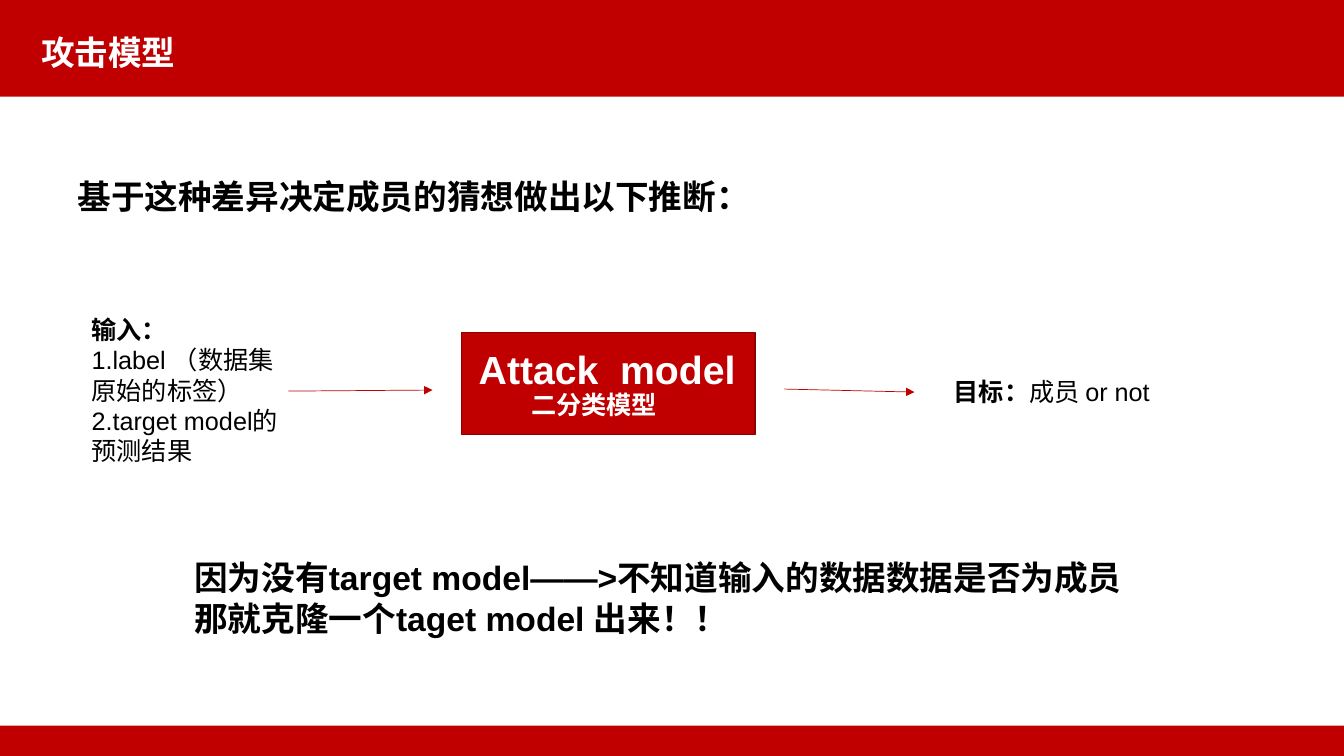
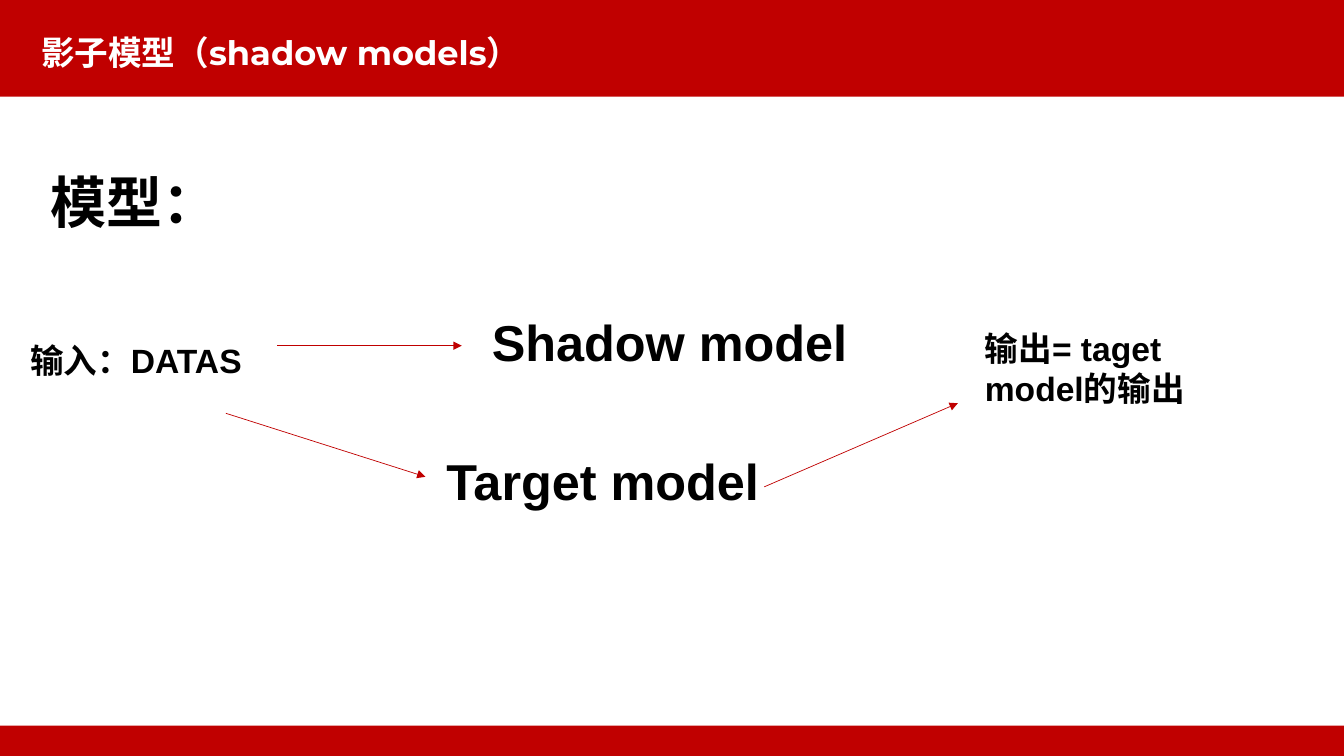
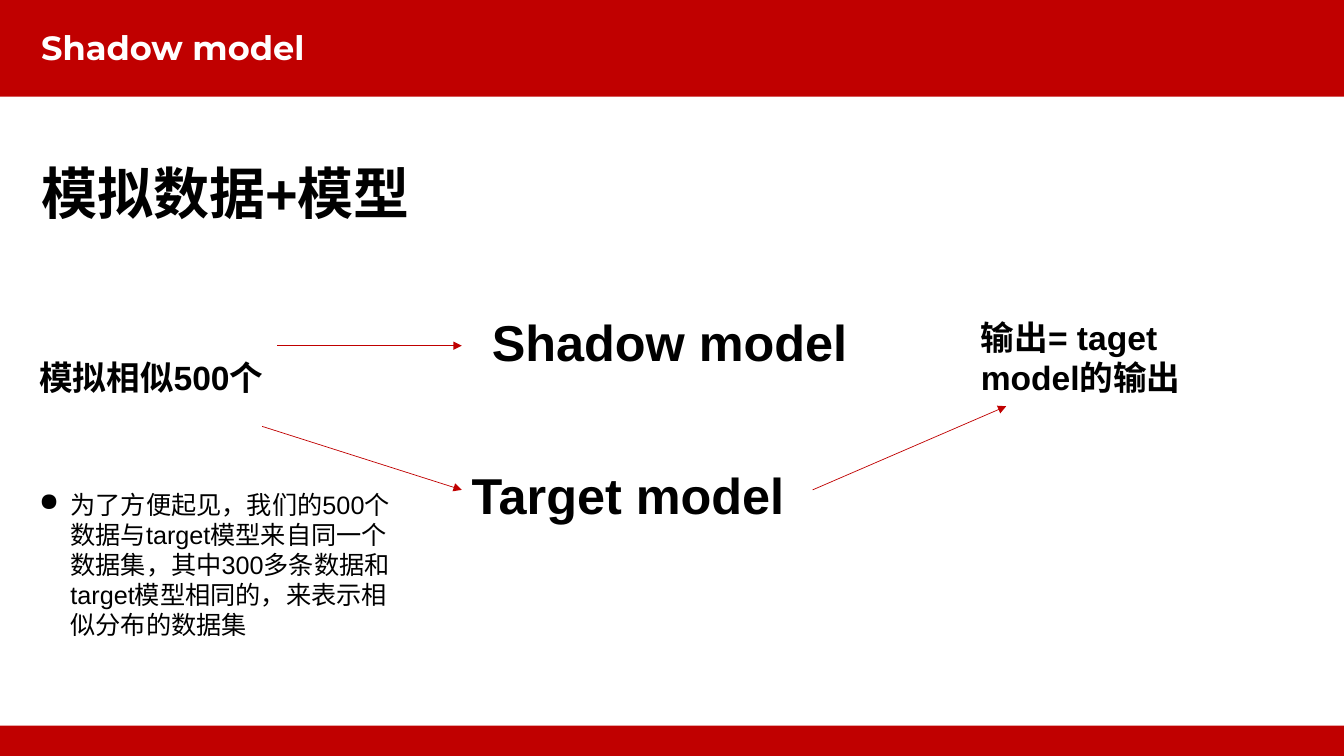
from dataclasses import dataclass

from pptx import Presentation
from pptx.dml.color import RGBColor
from pptx.enum.lang import MSO_LANGUAGE_ID
from pptx.enum.shapes import MSO_CONNECTOR, MSO_SHAPE
from pptx.enum.text import MSO_ANCHOR
from pptx.oxml.ns import qn
from pptx.util import Emu, Pt
from lxml.etree import SubElement

PX = 9144  # EMU in one px, 100 px to the inch
WIDTH, HEIGHT = 1333, 750


@dataclass(frozen=True)
class Theme:
    red: RGBColor = RGBColor(0xC0, 0x00, 0x00)
    dark_red: RGBColor = RGBColor(0x8E, 0x00, 0x00)
    white: RGBColor = RGBColor(0xFF, 0xFF, 0xFF)
    black: RGBColor = RGBColor(0x00, 0x00, 0x00)
    title_font: str = "Montserrat"
    body_font: str = "Arial"
    small: int = 18
    medium: int = 24
    label: int = 28
    model: int = 36
    heading: int = 40
    arrow_width: float = 0.5


def px(*lengths):
    return [Emu(length * PX) for length in lengths]


class Deck:
    def __init__(self, theme):
        self.theme = theme
        self.file = Presentation()
        self.file.slide_width, self.file.slide_height = px(WIDTH, HEIGHT)
        self.page = None

    def new_page(self, title, title_top=21):
        """Start a page with both bands and its title."""
        theme = self.theme
        self.page = self.file.slides.add_slide(self.file.slide_layouts[6])
        self.rectangle(0, 0, WIDTH, 96)
        self.rectangle(0, 720, WIDTH, 30)
        box = self.text(31, title_top, 1150, 66, [title], theme.medium,
                        colour=theme.white, font=theme.title_font)
        box.text_frame.vertical_anchor = MSO_ANCHOR.MIDDLE
        box.text_frame.paragraphs[0].line_spacing = 0.9

    def rectangle(self, left, top, width, height, outline=None):
        shape = self.page.shapes.add_shape(
            MSO_SHAPE.RECTANGLE, *px(left, top, width, height))
        shape.shadow.inherit = False
        shape.fill.solid()
        shape.fill.fore_color.rgb = self.theme.red
        if outline is None:
            shape.line.fill.background()
        else:
            shape.line.color.rgb = outline
            shape.line.width = Pt(1)
        return shape

    def text(self, left, top, width, height, lines, size, bold=True,
             colour=None, font=None, wrap=True):
        """Each line is a string, or a list of (words, bold) spans."""
        box = self.page.shapes.add_textbox(*px(left, top, width, height))
        frame = box.text_frame
        frame.word_wrap = wrap
        for number, line in enumerate(lines):
            paragraph = frame.add_paragraph() if number else frame.paragraphs[0]
            spans = [(line, None)] if isinstance(line, str) else line
            for words, span_bold in spans:
                span = paragraph.add_run()
                span.text = words
                span.font.bold = span_bold
            style = paragraph.font
            style.name = font or self.theme.body_font
            style.size = Pt(size)
            style.bold = bold
            style.color.rgb = colour or self.theme.black
            style.language_id = MSO_LANGUAGE_ID.SIMPLIFIED_CHINESE
        return box

    def indent(self, paragraph, left, first=0, bullet=None):
        properties = paragraph._p.get_or_add_pPr()
        properties.set("marL", str(left * PX))
        properties.set("indent", str(first * PX))
        if bullet:
            mark = SubElement(properties, qn("a:buChar"))
            mark.set("char", bullet)
            properties.insert(0, mark)

    def arrow(self, start, end):
        connector = self.page.shapes.add_connector(
            MSO_CONNECTOR.STRAIGHT, *px(*start, *end))
        connector.line.color.rgb = self.theme.red
        connector.line.width = Pt(self.theme.arrow_width)
        properties = connector.element.spPr
        SubElement(properties.find(qn("a:ln")), qn("a:tailEnd")).set("type", "triangle")
        SubElement(properties, qn("a:effectLst"))
        return connector

    def shadow_flow(self, target, output, lower_start, output_start):
        """Two models between input and output, with their arrows."""
        theme = self.theme
        self.text(478, 304, 376, 71, ["Shadow model"], theme.model, wrap=False)
        self.text(*target, 347, 71, ["Target model"], theme.model, wrap=False)
        self.text(*output, 287, 91, ["输出= taget model的输出"], theme.medium)
        for (left, top), (across, down) in (
                ((275, 343), (183, 0)),
                (lower_start, (198, 63)),
                (output_start, (192, -83))):
            self.arrow((left, top), (left + across, top + down))


def attack_page(deck):
    theme = deck.theme
    deck.new_page("攻击模型")
    deck.text(67, 170, 669, 50, ["基于这种差异决定成员的猜想做出以下推断："], theme.medium)

    # Attack model
    deck.rectangle(458, 330, 291, 101, theme.dark_red)
    deck.text(465, 338, 313, 50, ["Attack  model"], theme.label, colour=theme.white)
    kind = deck.text(465, 381, 313, 40, ["二分类模型"], theme.small, colour=theme.white)
    deck.indent(kind.text_frame.paragraphs[0], 52)

    # Input and goal
    source = deck.text(81, 307, 205, 162, [
        [("输入：", True)],
        "1.label （数据集 原始的标签）",
        "2.target model的预测结果",
    ], theme.small, bold=False)
    deck.arrow((286, 388), (429, 387)).begin_connect(source, 3)
    deck.arrow((778, 386), (907, 389))
    deck.text(936, 368, 240, 40, [[("目标：", True), ("成员 or not", False)]],
              theme.small, bold=False)

    # Conclusion
    deck.text(183, 548, 1044, 91, [
        "因为没有target model——>不知道输入的数据数据是否为成员",
        "那就克隆一个taget model 出来！！",
    ], theme.medium)


def shadow_models_page(deck):
    theme = deck.theme
    deck.new_page("影子模型（shadow models）")
    deck.text(40, 161, 184, 77, ["模型："], theme.heading)
    deck.text(20, 332, 281, 50, ["输入：DATAS"], theme.medium)
    deck.shadow_flow(target=(433, 442), output=(967, 320),
                     lower_start=(224, 410), output_start=(758, 483))


def simulated_data_page(deck):
    theme = deck.theme
    deck.new_page("Shadow model", title_top=16)
    deck.text(31, 152, 489, 77, ["模拟数据+模型"], theme.heading)
    deck.text(29, 349, 281, 50, ["模拟相似500个"], theme.medium)
    deck.shadow_flow(target=(458, 455), output=(963, 309),
                     lower_start=(260, 423), output_start=(806, 486))
    note = deck.text(29, 480, 379, 162, [
        "为了方便起见，我们的500个数据与target模型来自同一个数据集，"
        "其中300多条数据和target模型相同的，来表示相似分布的数据集",
    ], theme.small, bold=False)
    deck.indent(note.text_frame.paragraphs[0], 31, -31, "●")


def main():
    deck = Deck(Theme())
    attack_page(deck)
    shadow_models_page(deck)
    simulated_data_page(deck)
    deck.file.save("out.pptx")


if __name__ == "__main__":
    main()
